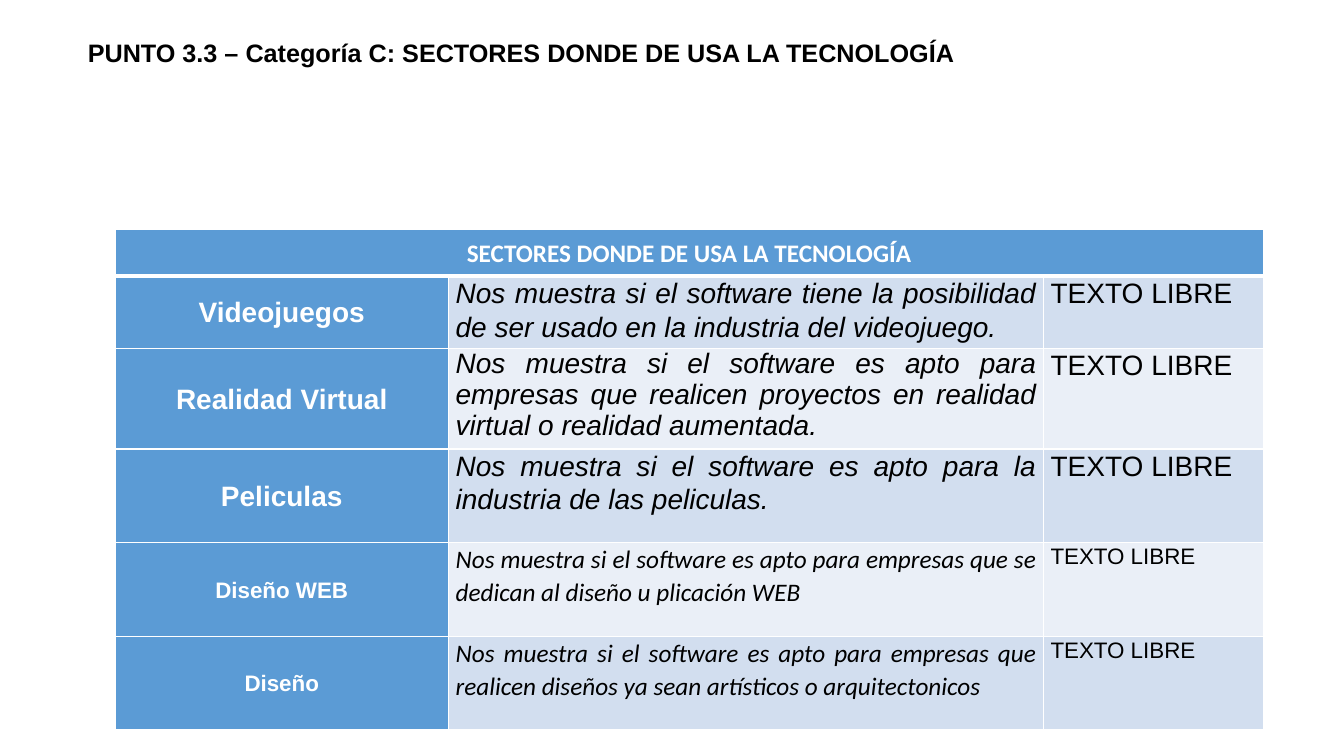
import pptx
import pptx.util
import pptx.dml.color
import pptx.enum.text
import pptx.oxml
import pptx.oxml.ns
from dataclasses import dataclass

ALIGN = pptx.enum.text.PP_ALIGN
ANCHOR = pptx.enum.text.MSO_ANCHOR
Color = pptx.dml.color.RGBColor.from_string


@dataclass(frozen=True)
class Theme:
    head: str = "5B9BD5"
    bands: tuple = ("D2DEEF", "EAEFF7")
    white: str = "FFFFFF"
    black: str = "000000"
    sans: str = "Arial"
    text: str = "Calibri"
    small: int = 16
    mid: int = 18
    large: int = 20
    lead: float = 1.07
    rule: int = 1
    thick: int = 3


THEME = Theme()

# Boxes: left, top, width, height in percent of the slide
TITLE_BOX = (5.78, 4.27, 82.22, 5.33)
TABLE_BOX = (8.55, 30.4, 85.45, 65.6)

# Columns and rows in percent of the table box
COLS = (29.06, 51.8, 19.14)
ROWS = (9.35, 12, 12.4, 18.9, 18.9, 18.9)

TITLE = "PUNTO 3.3 – Categoría C: SECTORES DONDE DE USA LA TECNOLOGÍA"
HEADING = "SECTORES DONDE DE USA LA TECNOLOGÍA"
FREE = "TEXTO LIBRE"

# Sector, description, type size, size and font of description, line spacing
BIG = (THEME.large, THEME.large, THEME.sans)
LOW = (THEME.small, THEME.mid, THEME.text)
SECTORS = (
    ("Videojuegos", "Nos muestra si el software tiene la posibilidad de ser "
     "usado en la industria del videojuego.", BIG, THEME.lead),
    ("Realidad Virtual", "Nos muestra si el software es apto para empresas que "
     "realicen proyectos en realidad virtual o realidad aumentada.", BIG, 1.0),
    ("Peliculas", "Nos muestra si el software es apto para la industria de "
     "las peliculas.", BIG, THEME.lead),
    ("Diseño WEB", "Nos muestra si el software es apto para empresas que se "
     "dedican al diseño u plicación WEB", LOW, THEME.lead),
    ("Diseño", "Nos muestra si el software es apto para empresas que realicen "
     "diseños ya sean artísticos o arquitectonicos", LOW, THEME.lead),
)


def assign(item, values):
    for name, value in values.items():
        setattr(item, name, value)


def place(deck, box):
    sides = (deck.slide_width, deck.slide_height) * 2
    return [round(side * part / 100) for side, part in zip(sides, box)]


def write(frame, text, size, font, color, align, lead=1.0, bold=False, italic=False):
    par = frame.paragraphs[0]
    assign(par, dict(alignment=align, line_spacing=lead,
                     space_before=pptx.util.Pt(0), space_after=pptx.util.Pt(0)))
    run = par.add_run()
    run.text = text
    assign(run.font, dict(size=pptx.util.Pt(size), name=font, bold=bold, italic=italic))
    run.font.color.rgb = Color(color)


def edge(cell, base):
    """Draw the four borders, with the given width at the bottom."""
    props = cell._tc.get_or_add_tcPr()
    for side in "LRTB":
        width = pptx.util.Pt(base if side == "B" else THEME.rule)
        props.append(pptx.oxml.parse_xml(
            f'<a:ln{side} {pptx.oxml.ns.nsdecls("a")} w="{width}"><a:solidFill>'
            f'<a:srgbClr val="{THEME.white}"/></a:solidFill></a:ln{side}>'))


def fill(cell, color, anchor, base=THEME.rule):
    inset = pptx.util.Inches(0.07)
    assign(cell, dict(margin_left=inset, margin_right=inset, margin_top=0,
                      margin_bottom=0, vertical_anchor=anchor))
    edge(cell, base)
    cell.fill.solid()
    cell.fill.fore_color.rgb = Color(color)


def add_title(deck, slide, box):
    title = slide.shapes.title
    assign(title, dict(zip(("left", "top", "width", "height"), place(deck, box))))
    assign(title.text_frame, dict(
        word_wrap=True, vertical_anchor=ANCHOR.MIDDLE,
        auto_size=pptx.enum.text.MSO_AUTO_SIZE.SHAPE_TO_FIT_TEXT))
    write(title.text_frame, TITLE, THEME.mid, THEME.sans, THEME.black,
          ALIGN.JUSTIFY, bold=True)


def add_grid(deck, slide, box):
    left, top, width, height = place(deck, box)
    table = slide.shapes.add_table(len(ROWS), len(COLS), left, top, width, height).table
    table.horz_banding = False
    for col, part in zip(table.columns, COLS):
        col.width = round(width * part / 100)
    for row, part in zip(table.rows, ROWS):
        row.height = round(height * part / 100)

    # Heading across all columns
    top_cell = table.cell(0, 0)
    top_cell.merge(table.cell(0, len(COLS) - 1))
    for col in range(len(COLS)):
        fill(table.cell(0, col), THEME.head, ANCHOR.MIDDLE, THEME.thick)
    write(top_cell.text_frame, HEADING, THEME.mid, THEME.text, THEME.white,
          ALIGN.CENTER, THEME.lead, bold=True)

    # One row for each sector
    for num, (name, about, (size, body, font), lead) in enumerate(SECTORS):
        sector, detail, free = (table.cell(num + 1, col) for col in range(len(COLS)))
        fill(sector, THEME.head, ANCHOR.MIDDLE)
        for cell in (detail, free):
            fill(cell, THEME.bands[num % 2], ANCHOR.TOP)
        write(sector.text_frame, name, size, THEME.sans, THEME.white,
              ALIGN.CENTER, THEME.lead, bold=True)
        write(detail.text_frame, about, body, font, THEME.black,
              ALIGN.JUSTIFY, lead, italic=True)
        write(free.text_frame, FREE, size, THEME.sans, THEME.black,
              ALIGN.JUSTIFY, THEME.lead)


deck = pptx.Presentation()
assign(deck, dict(slide_width=pptx.util.Inches(13.33), slide_height=pptx.util.Inches(7.5)))
slide = deck.slides.add_slide(deck.slide_layouts.get_by_name("Title Only"))
add_title(deck, slide, TITLE_BOX)
add_grid(deck, slide, TABLE_BOX)
deck.save("out.pptx")
